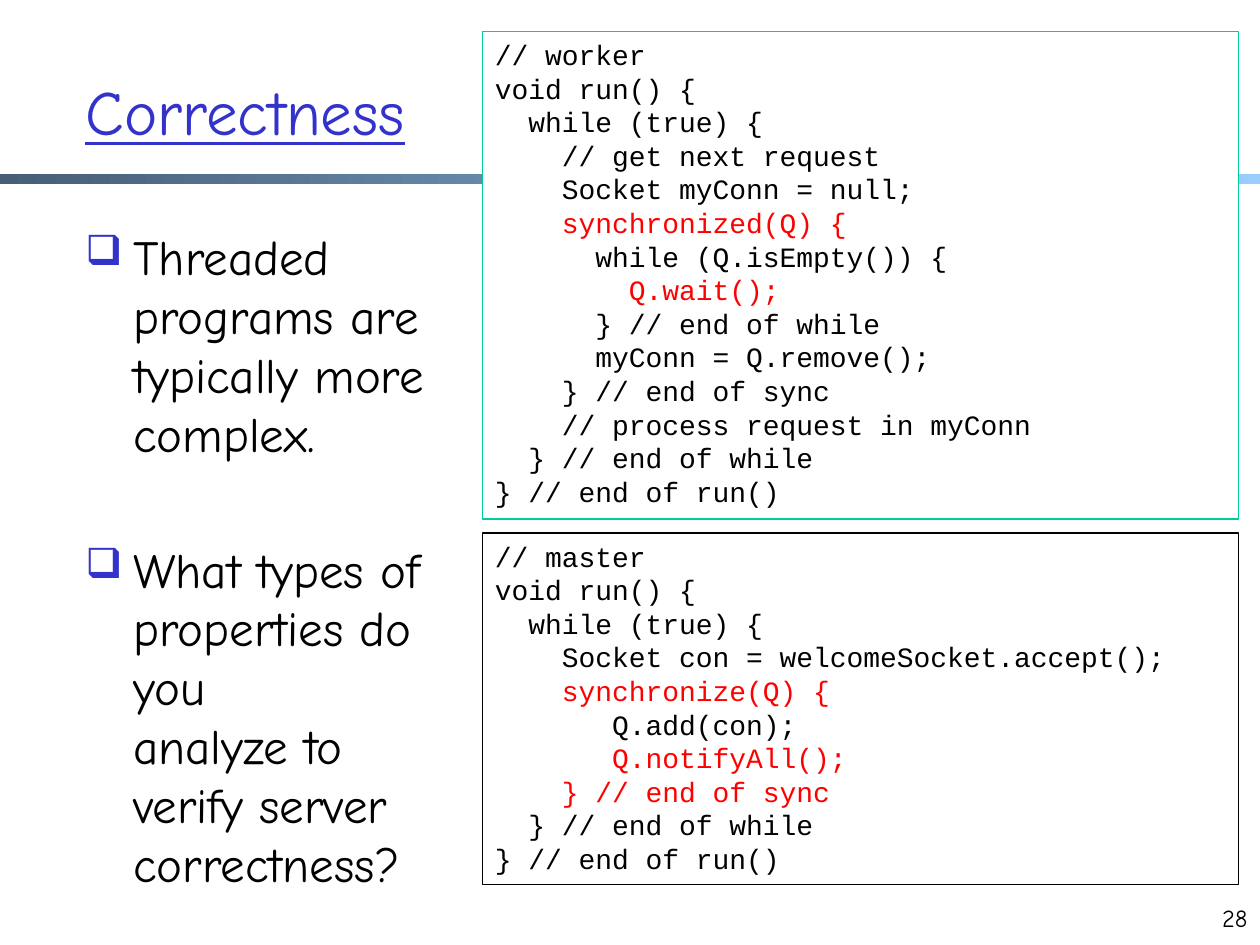
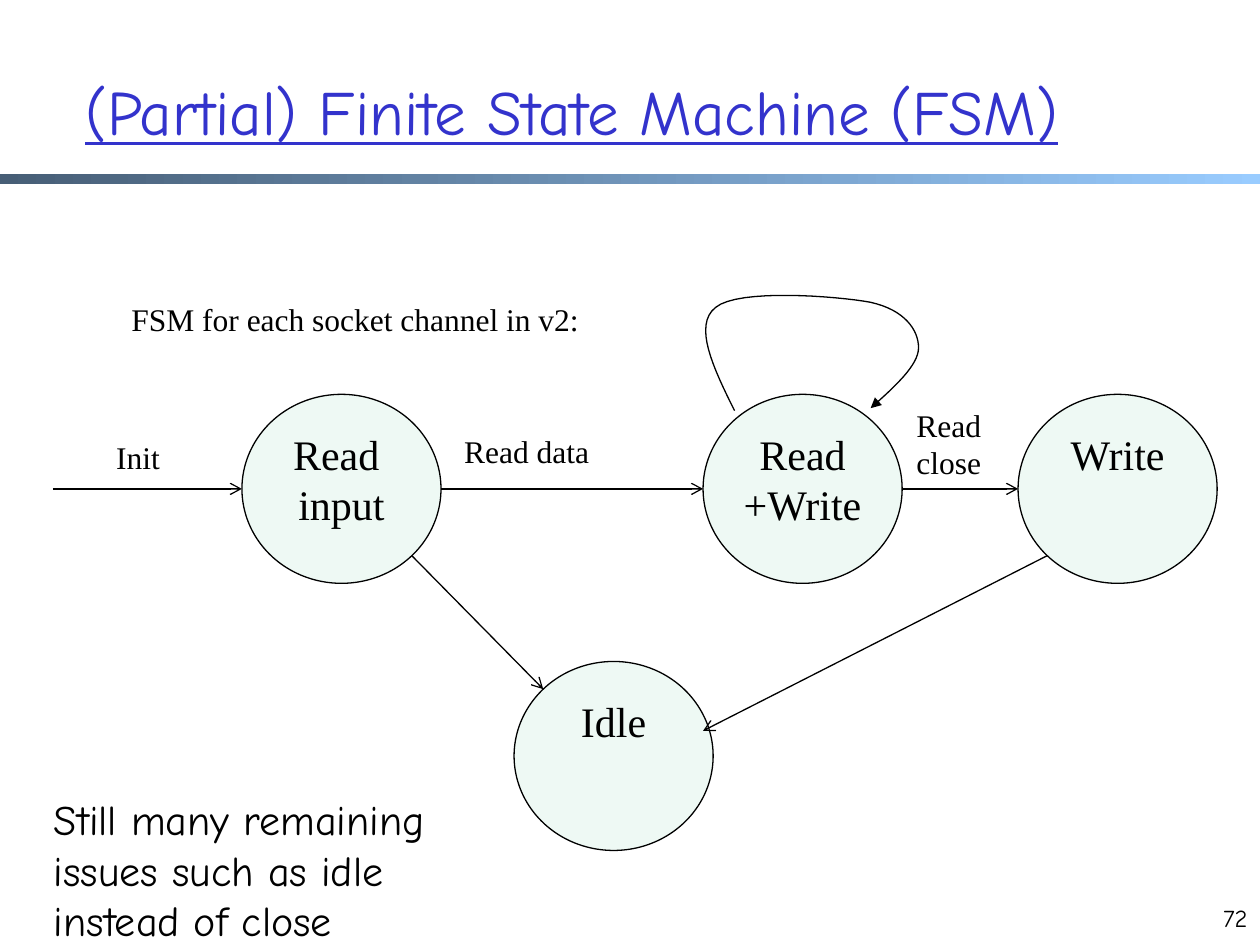
from lxml import etree
from pptx import Presentation
from pptx.dml.color import RGBColor
from pptx.enum import shapes as sh, text as tx
from pptx.oxml.ns import qn
from pptx.util import Inches, Pt

HUE = {"ink": "000000", "title": "3333CC", "red": "FF0000", "paper": "FFFFFF",
       "dark": "475E76", "light": "99CCFF", "green": "00CC99", "mint": "EEF9F4"}
HAND, CODE, SERIF = "Comic Neue", "Courier New", "Times New Roman"

POINTS = [
    "Threaded programs are typically more complex.",
    "What types of properties do you\nanalyze to \nverify server \ncorrectness?",
]
WORKER = [
    ("// worker", "ink"),
    ("void run() {", "ink"),
    ("  while (true) {", "ink"),
    ("    // get next request", "ink"),
    ("    Socket myConn = null;", "ink"),
    ("    synchronized(Q) {", "red"),
    ("      while (Q.isEmpty()) {", "ink"),
    ("        Q.wait();", "red"),
    ("      } // end of while", "ink"),
    ("      myConn = Q.remove();", "ink"),
    ("    } // end of sync", "ink"),
    ("    // process request in myConn", "ink"),
    ("  } // end of while", "ink"),
    ("} // end of run()", "ink"),
]
MASTER = [
    ("// master", "ink"),
    ("void run() {", "ink"),
    ("  while (true) {", "ink"),
    ("    Socket con = welcomeSocket.accept();", "ink"),
    ("    synchronize(Q) {", "red"),
    ("       Q.add(con);", "ink"),
    ("       Q.notifyAll();", "red"),
    ("    } // end of sync", "red"),
    ("  } // end of while", "ink"),
    ("} // end of run()", "ink"),
]

# State name: (left, top, label)
STATES = {
    "read": (1.92, 3.13, "Read \ninput"),
    "both": (5.58, 3.13, "Read\n+Write"),
    "write": (8.08, 3.13, "Write"),
    "idle": (4.08, 5.25, "Idle"),
}
WIDE, HIGH = 1.58, 1.5
LABELS = [
    ("Init", 0.82, 3.43, 0.55, 0.4),
    ("Read data", 3.58, 3.38, 1.2, 0.4),
    ("Read\nclose", 7.17, 3.17, 0.72, 0.71),
    ("FSM for each socket channel in v2:", 0.75, 2.33, 4.14, 0.4),
]
LOOP = [(5.83, 3.26),
        (5.66, 2.92), (5.5, 2.58), (5.68, 2.44),
        (5.86, 2.29), (6.64, 2.35), (6.91, 2.4),
        (7.18, 2.46), (7.29, 2.62), (7.29, 2.76),
        (7.29, 2.9), (7.1, 3.07), (6.91, 3.24)]
CLOSING = "Still many remaining\nissues such as idle\ninstead of close"


def rgb(name):
    return RGBColor.from_string(HUE[name])


def write(para, words, font, size, hue="ink", line=False):
    for i, part in enumerate(words.split("\n")):
        if i:
            para.add_line_break()
        run = para.add_run()
        run.text = part
        run.font.name, run.font.size = font, Pt(size)
        run.font.color.rgb = rgb(hue)
        if line:
            run.font.underline = True


def text_box(slide, box, words, font, size, align=tx.PP_ALIGN.LEFT, wrap=True,
             **style):
    frame = slide.shapes.add_textbox(*map(Inches, box)).text_frame
    frame.word_wrap = wrap
    para = frame.paragraphs[0]
    para.alignment = align
    write(para, words, font, size, **style)
    return frame


def outline(shape, hue="ink"):
    shape.line.color.rgb = rgb(hue)
    shape.line.width = Pt(0.75)


def block(slide, kind, box, fill=None, edge="ink"):
    shape = slide.shapes.add_shape(kind, *map(Inches, box))
    shape.shadow.inherit = False
    if fill:
        shape.fill.solid()
        shape.fill.fore_color.rgb = rgb(fill)
    else:
        shape.fill.background()
    outline(shape, edge)
    shape.text_frame.vertical_anchor = tx.MSO_ANCHOR.TOP
    return shape


def arrow_head(shape, kind):
    edge = shape._element.spPr.find(qn("a:ln"))
    etree.SubElement(edge, qn("a:tailEnd"), type=kind)


def arrow(slide, start, end):
    wire = slide.shapes.add_connector(
        sh.MSO_CONNECTOR.STRAIGHT, *map(Inches, (*start, *end)))
    outline(wire)
    arrow_head(wire, "arrow")
    etree.SubElement(wire._element.spPr, qn("a:effectLst"))


def base(deck, title, number):
    """Add a slide with the band, title and page number all slides share."""
    slide = deck.slides.add_slide(deck.slide_layouts[6])
    band = block(slide, sh.MSO_SHAPE.RECTANGLE, (0, 1.38, 10, 0.08))
    band.line.fill.background()
    band.fill.gradient()
    band.fill.gradient_angle = 0
    for stop, hue in zip(band.fill.gradient_stops, ("dark", "light")):
        stop.color.rgb = rgb(hue)
    frame = text_box(slide, (0.58, 0.25, 9, 1.25), title, HAND, 36,
                     hue="title", line=True)
    frame.vertical_anchor = tx.MSO_ANCHOR.MIDDLE
    text_box(slide, (9.5, 7.12, 0.5, 0.5), number, HAND, 14,
             align=tx.PP_ALIGN.RIGHT)
    return slide


def bullet(para):
    props = para._p.get_or_add_pPr()
    props.set("marL", str(Inches(0.38)))
    props.set("indent", str(Inches(-0.38)))
    tint = etree.SubElement(props, qn("a:buClr"))
    etree.SubElement(tint, qn("a:srgbClr"), val=HUE["title"])
    etree.SubElement(props, qn("a:buSzPct"), val="85000")
    etree.SubElement(props, qn("a:buChar"), char="❑")


def code_box(slide, top, high, lines, **look):
    shape = block(slide, sh.MSO_SHAPE.RECTANGLE, (3.83, top, 6, high), **look)
    frame = shape.text_frame
    for i, (words, hue) in enumerate(lines):
        para = frame.add_paragraph() if i else frame.paragraphs[0]
        para.alignment = tx.PP_ALIGN.LEFT
        write(para, words, CODE, 16, hue)


def correctness(deck):
    slide = base(deck, "Correctness", "28")
    frame = slide.shapes.add_textbox(
        *map(Inches, (0.58, 1.75, 3.2, 5.38))).text_frame
    frame.word_wrap = True
    for i, words in enumerate(POINTS):
        para = frame.add_paragraph() if i else frame.paragraphs[0]
        if i:
            para.space_before = Pt(44)
        bullet(para)
        write(para, words, HAND, 28)
    code_box(slide, 4.23, 2.79, MASTER)
    code_box(slide, 0.25, 3.87, WORKER, fill="paper", edge="green")


def rim(name, across, down):
    """Point of a state's ellipse, as offsets from its centre in radii."""
    left, top, _ = STATES[name]
    return left + WIDE / 2 * (1 + across), top + HIGH / 2 * (1 + down)


def curve(knots, steps=16):
    """Points along a chain of cubic Bezier curves."""
    points = [knots[0]]
    for k in range(0, len(knots) - 1, 3):
        for s in range(1, steps + 1):
            t = s / steps
            parts = ((1 - t) ** 3, 3 * t * (1 - t) ** 2, 3 * t * t * (1 - t), t ** 3)
            points.append(tuple(
                sum(w * knot[axis] for w, knot in zip(parts, knots[k:k + 4]))
                for axis in (0, 1)))
    return points


def machine(deck):
    slide = base(deck, "(Partial) Finite State Machine (FSM)", "72")
    for left, top, label in STATES.values():
        shape = block(slide, sh.MSO_SHAPE.OVAL, (left, top, WIDE, HIGH), "mint")
        shape.text_frame.word_wrap = False
        para = shape.text_frame.paragraphs[0]
        para.alignment = tx.PP_ALIGN.CENTER
        write(para, label, SERIF, 24)

    diag = 0.5 ** 0.5
    for start, end in [
        ((0.42, 3.88), rim("read", -1, 0)),
        (rim("read", 1, 0), rim("both", -1, 0)),
        (rim("both", 1, 0), rim("write", -1, 0)),
        (rim("write", -diag, diag), (5.58, 5.8)),
        (rim("read", diag, diag), rim("idle", -diag, -diag)),
    ]:
        arrow(slide, start, end)

    first, *rest = [tuple(map(Inches, point)) for point in curve(LOOP)]
    pen = slide.shapes.build_freeform(*first)
    pen.add_line_segments(rest, close=False)
    loop = pen.convert_to_shape()
    loop.shadow.inherit = False
    loop.fill.background()
    outline(loop)
    arrow_head(loop, "triangle")

    for words, *box in LABELS:
        text_box(slide, box, words, SERIF, 18, tx.PP_ALIGN.CENTER, wrap=False)
    text_box(slide, (0.33, 6.25, 3.36, 1.31), CLOSING, HAND, 24, wrap=False)


def main():
    deck = Presentation()
    deck.slide_width, deck.slide_height = Inches(10), Inches(7.5)
    correctness(deck)
    machine(deck)
    deck.save("out.pptx")


if __name__ == "__main__":
    main()
